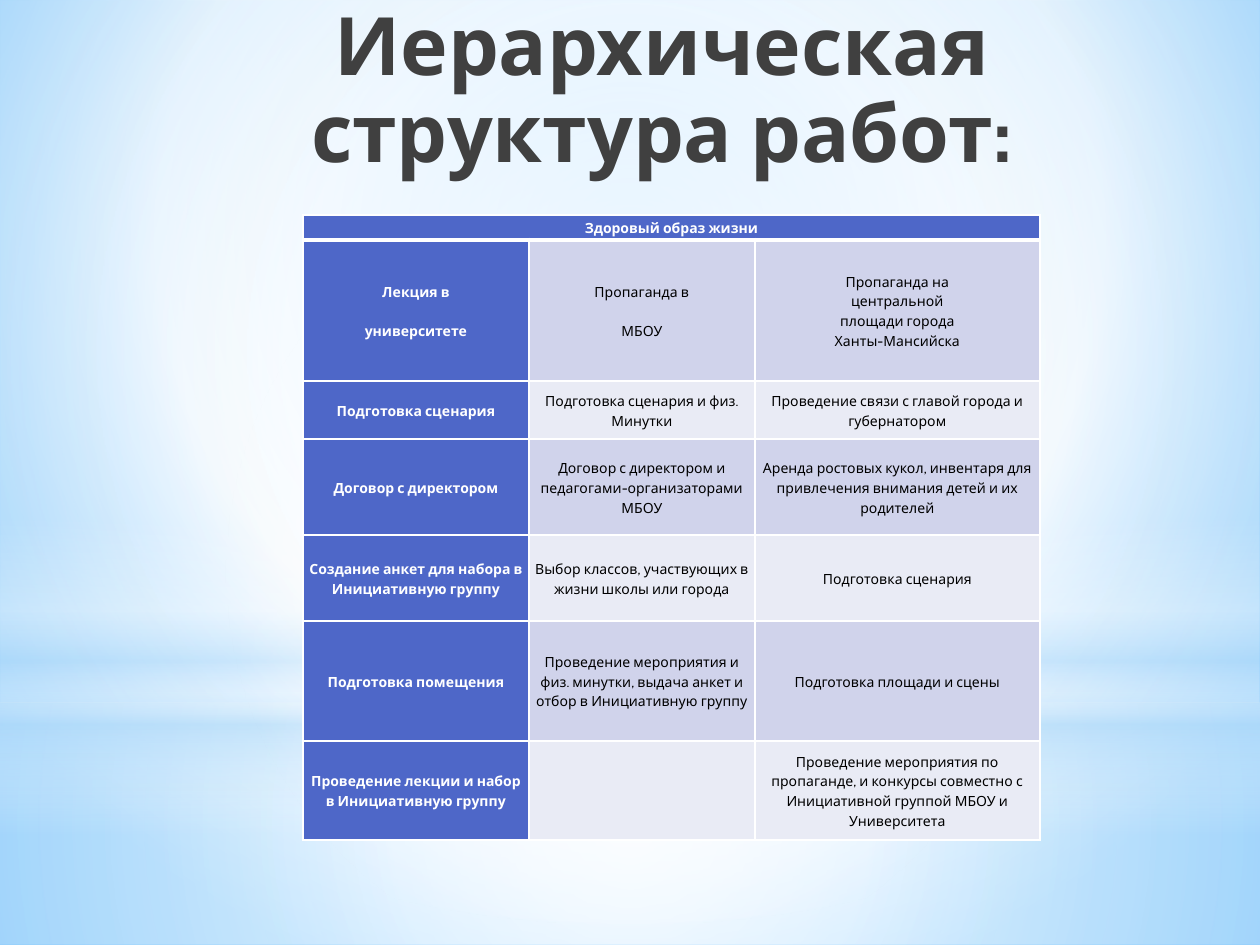
import lxml.etree
import pptx
import pptx.dml.color
import pptx.enum.shapes
import pptx.enum.text
import pptx.oxml.ns
import pptx.util

RGB = pptx.dml.color.RGBColor
WHITE = RGB(0xFF, 0xFF, 0xFF)
BLACK = RGB(0x00, 0x00, 0x00)
GREY = RGB(0x40, 0x40, 0x40)
BLUE = RGB(0x4E, 0x67, 0xC8)
LILAC = RGB(0xD0, 0xD3, 0xEB)
PALE = RGB(0xE9, 0xEB, 0xF5)
SKY = RGB(0x9E, 0xD5, 0xFF)
DEEP = RGB(0x5B, 0xB9, 0xFF)
MIST = RGB(0xB4, 0xDC, 0xFA)

SCALE = 914400 / 126
SHAPE = pptx.enum.shapes.MSO_SHAPE
MIDDLE = pptx.enum.text.MSO_ANCHOR.MIDDLE
TOP = pptx.enum.text.MSO_ANCHOR.TOP
CENTER = pptx.enum.text.PP_ALIGN.CENTER
MID = (50, 50, 50, 50)

COLS = (226, 226, 285)
ROWS = (25, 141, 58, 96, 86, 120, 99)
CELLS = (
    ("Здоровый образ жизни", "", ""),
    ("Лекция в\nуниверситете", "Пропаганда в\nМБОУ",
     "Пропаганда на\vцентральной\vплощади города\vХанты-Мансийска"),
    ("Подготовка сценария", "Подготовка сценария и физ. Минутки",
     "Проведение связи с главой города и губернатором"),
    ("Договор с директором",
     "Договор с директором и педагогами-организаторами МБОУ",
     "Аренда ростовых кукол, инвентаря для привлечения внимания детей и их родителей"),
    ("Создание анкет для набора в Инициативную группу",
     "Выбор классов, участвующих в жизни школы или города",
     "Подготовка сценария"),
    ("Подготовка помещения",
     "Проведение мероприятия и физ. минутки, выдача анкет и отбор в Инициативную группу",
     "Подготовка площади и сцены"),
    ("Проведение лекции и набор в Инициативную группу", "",
     "Проведение мероприятия по пропаганде, и конкурсы совместно с "
     "Инициативной группой МБОУ и Университета"),
)


def px(num):
    return pptx.util.Emu(round(num * SCALE))


def node(root, tag, **attrs):
    item = lxml.etree.SubElement(root, pptx.oxml.ns.qn(tag))
    for key, value in attrs.items():
        item.set(key, str(value))
    return item


def assign(item, values):
    for key, value in values.items():
        setattr(item, key, value)


class Deck:
    font = "Cabin"

    def __init__(self, wide, high):
        self.show = pptx.Presentation()
        self.show.slide_width = px(wide)
        self.show.slide_height = px(high)
        self.slide = self.show.slides.add_slide(self.show.slide_layouts[5])

    def blend(self, fill, root, stops, focus):
        fill.gradient()
        grad = next(root.iter(pptx.oxml.ns.qn("a:gradFill")))
        for child in list(grad):
            grad.remove(child)
        items = node(grad, "a:gsLst")
        for pos, color, alpha in stops:
            stop = node(items, "a:gs", pos=pos * 1000)
            tint = node(stop, "a:srgbClr", val=color)
            if alpha < 100:
                node(tint, "a:alpha", val=alpha * 1000)
        if focus:
            way = node(grad, "a:path", path="circle")
            sides = {side: part * 1000 for side, part in zip("ltrb", focus)}
            node(way, "a:fillToRect", **sides)
        else:
            node(grad, "a:lin", ang=5400000, scaled=0)

    def backdrop(self, stops, focus):
        root = self.slide.background
        self.blend(root.fill, self.slide._element, stops, focus)

    def glow(self, kind, box, stops, focus=MID):
        shape = self.slide.shapes.add_shape(kind, *map(px, box))
        shape.shadow.inherit = False
        shape.line.fill.background()
        self.blend(shape.fill, shape._element, stops, focus)

    def dress(self, para, size, color, bold):
        para.alignment = CENTER
        look = {"name": self.font, "size": pptx.util.Pt(size), "bold": bold}
        for run in para.runs:
            assign(run.font, look)
            run.font.color.rgb = color

    def title(self, text, box):
        shape = self.slide.shapes.title
        self.slide.shapes._spTree.append(shape._element)
        assign(shape, dict(zip(("left", "top", "width", "height"), map(px, box))))
        frame = shape.text_frame
        frame.text = text
        assign(frame, {"word_wrap": True, "vertical_anchor": TOP,
                       "auto_size": pptx.enum.text.MSO_AUTO_SIZE.NONE})
        frame.paragraphs[0].line_spacing = 0.9
        self.dress(frame.paragraphs[0], 46, GREY, True)

    def border(self, cell, base):
        props = cell._tc.get_or_add_tcPr()
        for side in "LRTB":
            width = pptx.util.Pt(base if side == "B" else 1)
            line = node(props, f"a:ln{side}", w=int(width))
            node(node(line, "a:solidFill"), "a:srgbClr", val=WHITE)

    def cell(self, cell, text, fill, color, bold, base):
        self.border(cell, base)
        cell.fill.solid()
        cell.fill.fore_color.rgb = fill
        assign(cell, {"margin_left": px(6), "margin_right": px(6),
                      "margin_top": 0, "margin_bottom": 0,
                      "vertical_anchor": MIDDLE})
        cell.text_frame.text = text
        for num, para in enumerate(cell.text_frame.paragraphs):
            para.line_spacing = 1.15
            if num:
                para.space_before = pptx.util.Pt(11)
            self.dress(para, 8, color, bold)
            para._p.get_or_add_endParaRPr().set("sz", "800")

    def table(self, left, top, cols, rows, cells):
        box = map(px, (left, top, sum(cols), sum(rows)))
        table = self.slide.shapes.add_table(len(rows), len(cols), *box).table
        for col, wide in zip(table.columns, cols):
            col.width = px(wide)
        for row, high in zip(table.rows, rows):
            row.height = px(high)
        for r, line in enumerate(cells):
            for c, text in enumerate(line):
                head = r == 0 or c == 0
                fill = BLUE if head else LILAC if r % 2 else PALE
                color = WHITE if head else BLACK
                self.cell(table.cell(r, c), text, fill, color, head, 1 if r else 3)
        table.cell(0, 0).merge(table.cell(0, len(cols) - 1))

    def save(self):
        self.show.save("out.pptx")


def main():
    deck = Deck(1260, 945)
    deck.backdrop(((0, SKY, 100), (60, WHITE, 100), (100, DEEP, 100)),
                  (20, 10, 20, 60))
    deck.glow(SHAPE.RECTANGLE, (0, 703, 1260, 242),
              ((0, WHITE, 91), (37, WHITE, 76), (100, MIST, 79)))
    deck.glow(SHAPE.RECTANGLE, (0, 0, 1260, 703),
              ((0, WHITE, 89), (48, WHITE, 62), (100, MIST, 79)))
    deck.glow(SHAPE.RECTANGLE, (0, 519, 1260, 315),
              ((0, WHITE, 0), (29, WHITE, 30), (45, MIST, 40),
               (55, WHITE, 26), (65, MIST, 60), (100, WHITE, 0)), None)
    deck.glow(SHAPE.OVAL, (0, 220, 1260, 703),
              ((0, WHITE, 100), (56, WHITE, 0)))
    deck.title("Иерархическая структура работ:", (213, 0, 897, 158))
    deck.table(303, 215, COLS, ROWS, CELLS)
    deck.save()


if __name__ == "__main__":
    main()
